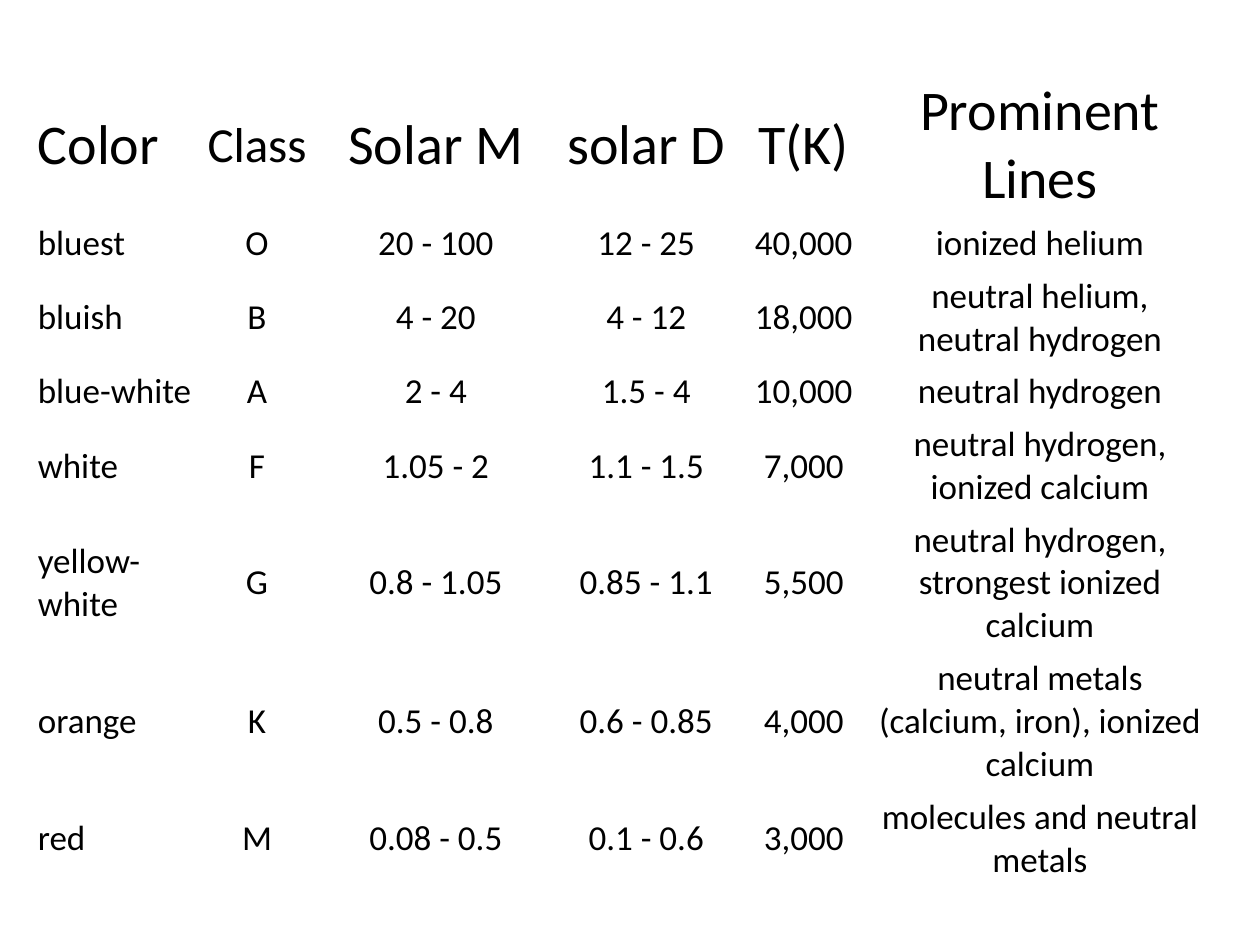
from pptx import Presentation
from pptx.dml.color import RGBColor
from pptx.enum.text import MSO_ANCHOR, PP_ALIGN
from pptx.util import Inches, Pt

COLORS = {"text": "000000"}

star_classes = [
    ["Color", "Class", "Solar M", "solar D", "T(K)", "Prominent Lines"],
    ["bluest", "O", "20 - 100", "12 - 25", "40,000", "ionized helium"],
    ["bluish", "B", "4 - 20", "4 - 12", "18,000", "neutral helium, neutral hydrogen"],
    ["blue-white", "A", "2 - 4", "1.5 - 4", "10,000", "neutral hydrogen"],
    ["white", "F", "1.05 - 2", "1.1 - 1.5", "7,000", "neutral hydrogen, ionized calcium"],
    ["yellow-white", "G", "0.8 - 1.05", "0.85 - 1.1", "5,500",
     "neutral hydrogen, strongest ionized calcium"],
    ["orange", "K", "0.5 - 0.8", "0.6 - 0.85", "4,000",
     "neutral metals (calcium, iron), ionized calcium"],
    ["red", "M", "0.08 - 0.5", "0.1 - 0.6", "3,000", "molecules and neutral metals"],
]
column_widths = [1.33, 0.92, 1.92, 1.42, 1.08, 2.67]
row_heights = [0.41, 0.41, 0.77, 0.41, 0.77, 0.94, 1.12, 0.59]
header_sizes = [32, 28, 32, 32, 32, 32]
body_size = 20

# Slide
prs = Presentation()
prs.slide_width, prs.slide_height = Inches(10), Inches(7.5)
slide = prs.slides.add_slide(prs.slide_layouts[6])

# Table of spectral classes, without banding
spectral_frame = slide.shapes.add_table(
    len(star_classes), len(column_widths),
    Inches(0.25), Inches(0.58), Inches(9.33), Inches(6.37))
spectral_table = spectral_frame.table
spectral_table.first_row = False
spectral_table.horz_banding = False
for column, width in zip(spectral_table.columns, column_widths):
    column.width = Inches(width)
for row, height in zip(spectral_table.rows, row_heights):
    row.height = Inches(height)
# Row heights reset the frame, which leaves room for the wrapped lines
spectral_frame.height = Inches(6.37)

# Cells
for r, star_class in enumerate(star_classes):
    for c, entry in enumerate(star_class):
        cell = spectral_table.cell(r, c)
        cell.fill.background()
        cell.vertical_anchor = MSO_ANCHOR.MIDDLE
        cell.margin_left = cell.margin_right = Inches(0.05)
        cell.margin_top = cell.margin_bottom = Inches(0.03)
        paragraph = cell.text_frame.paragraphs[0]
        paragraph.text = entry
        paragraph.alignment = PP_ALIGN.CENTER if c else PP_ALIGN.LEFT
        font = paragraph.runs[0].font
        font.name = "Calibri"
        font.size = Pt(body_size if r else header_sizes[c])
        font.color.rgb = RGBColor.from_string(COLORS["text"])

prs.save("out.pptx")
